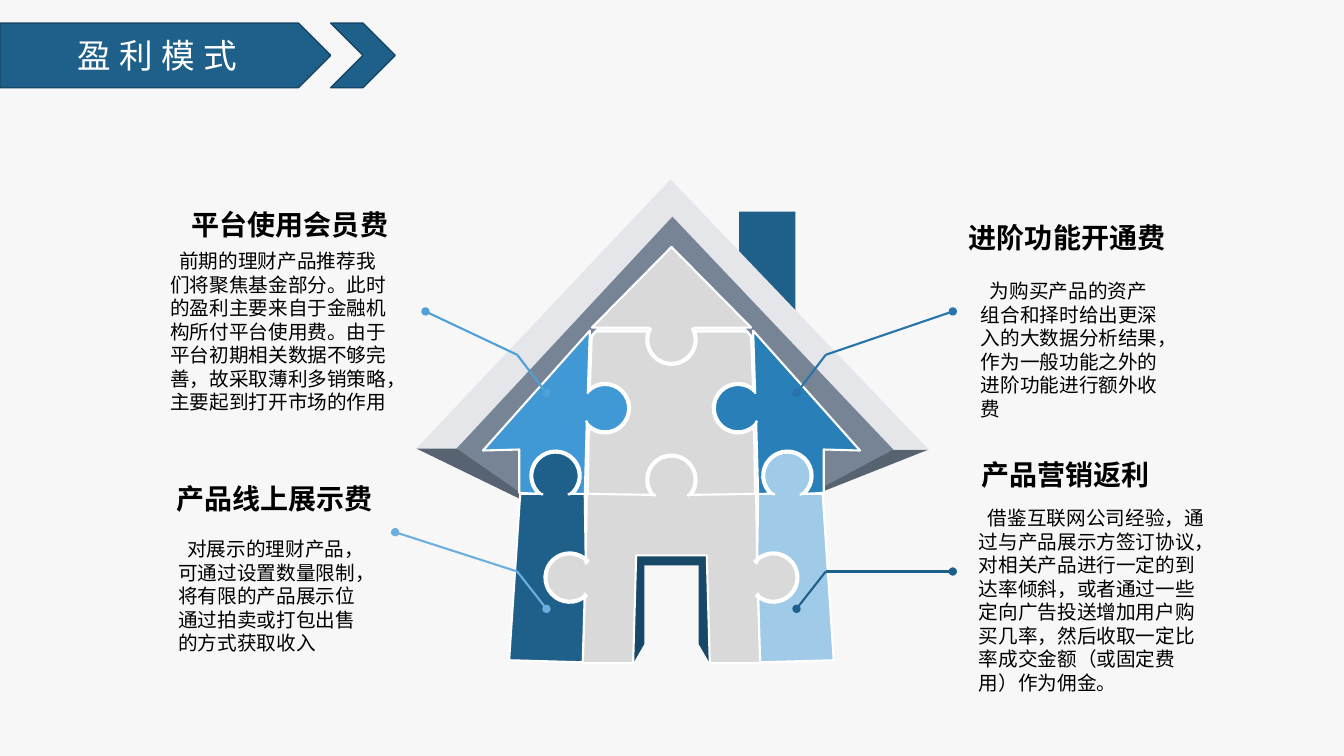
"""Build the profit model slide: a puzzle house with four annotated income sources."""
from dataclasses import dataclass
from math import atan2, cos, pi, sin
from typing import NamedTuple

from lxml import etree
from pptx import Presentation
from pptx.dml.color import RGBColor
from pptx.enum.shapes import MSO_CONNECTOR, MSO_SHAPE
from pptx.enum.text import MSO_ANCHOR, PP_ALIGN
from pptx.oxml.ns import qn
from pptx.shapes.autoshape import Shape
from pptx.slide import Slide
from pptx.text.text import TextFrame
from pptx.util import Emu, Pt

PX = 9144
FONT = "Noto Sans CJK SC"
BANNER, CHEVRON, RECT = MSO_SHAPE.PENTAGON, MSO_SHAPE.CHEVRON, MSO_SHAPE.RECTANGLE
STRAIGHT = MSO_CONNECTOR.STRAIGHT
TOP, MIDDLE = MSO_ANCHOR.TOP, MSO_ANCHOR.MIDDLE
LEFT, CENTER, RIGHT = PP_ALIGN.LEFT, PP_ALIGN.CENTER, PP_ALIGN.RIGHT

PAPER = RGBColor.from_string("F7F7F7")
WHITE = RGBColor.from_string("FFFFFF")
BLACK = RGBColor.from_string("000000")
NAVY = RGBColor.from_string("1F608B")
NAVY_EDGE = RGBColor.from_string("174767")
DOOR = RGBColor.from_string("174868")
EAVES = RGBColor.from_string("586371")
ROOF_LIGHT = RGBColor.from_string("E4E6EA")
ROOF_DARK = RGBColor.from_string("778495")
GRAY = RGBColor.from_string("D9D9D9")
BLUE = RGBColor.from_string("2980B9")
SKY = RGBColor.from_string("4098D4")
PALE = RGBColor.from_string("9FCBE9")
BLUE_LEADER = RGBColor.from_string("2674A9")
SKY_LEADER = RGBColor.from_string("4FA0D7")
PALE_LEADER = RGBColor.from_string("6CAFDE")


class Point(NamedTuple):
    x: int
    y: int


class Joint(NamedTuple):
    """The round part of a puzzle joint, drawn the long way between its neighbours."""
    x: int
    y: int
    radius: int = 23

    def socket(self) -> "Joint":
        return self._replace(radius=self.radius + 2)


Outline = list[Point | Joint]
Box = tuple[int, int, int, int]


@dataclass(frozen=True)
class Piece:
    fill: RGBColor
    outline: Outline
    edge: RGBColor | None = None


@dataclass(frozen=True)
class Income:
    """One income source with its heading, description and leader line."""
    heading: str
    heading_box: Box
    heading_align: PP_ALIGN
    description: str
    description_box: Box
    leader: tuple[Point, Point, Point]
    color: RGBColor


def mirror(outline: Outline) -> Outline:
    """Reflect an outline across the middle of the house, in reverse order."""
    return [part._replace(x=2 * HOUSE_AXIS - part.x) for part in reversed(outline)]


def corners(*pairs: tuple[int, int]) -> Outline:
    return [Point(*pair) for pair in pairs]


HOUSE_AXIS = 666
ATTIC, HALL = Joint(666, 337), Joint(666, 476)
WALL, FLOOR, SIDE = Joint(600, 405), Joint(551, 472), Joint(565, 573)

wing = [*corners((585, 328), (479, 447), (515, 446), (515, 489), (534, 490)), FLOOR.socket(),
        *corners((565, 489), (580, 491), (582, 418)), WALL, Point(583, 390)]
leg = [*corners((505, 655), (516, 490), (538, 490)), FLOOR,
       *corners((564, 490), (580, 490), (581, 559)), SIDE.socket(),
       *corners((580, 589), (578, 657))]
room = [*corners((643, 329), (591, 329), (587, 334), (585, 387)), WALL.socket(),
        *corners((584, 428), (583, 492), (644, 493))]
front = [*corners((650, 491), (582, 490), (581, 559)), SIDE,
         *corners((580, 589), (578, 658), (628, 658), (631, 551))]
gable = corners((666, 245), (587, 325), (643, 325))
jamb = corners((628, 658), (639, 639), (639, 548), (628, 546))

BACKDROP = [
    Piece(EAVES, corners((413, 445), (520, 497), (520, 483), (455, 438))),
    Piece(EAVES, corners((883, 446), (921, 446), (815, 488), (816, 476))),
    Piece(ROOF_LIGHT, corners((883, 446), (921, 446), (665, 178), (413, 445), (453, 445),
                              (667, 218))),
    Piece(ROOF_DARK, corners((515, 488), (453, 445), (667, 215), (886, 446), (813, 485),
                             (815, 445), (851, 446), (666, 246), (481, 445), (516, 446))),
    Piece(DOOR, jamb),
    Piece(DOOR, mirror(jamb)),
]
PUZZLE = [
    Piece(BLUE, mirror(wing), WHITE),
    Piece(SKY, wing, WHITE),
    Piece(GRAY, [*room, HALL.socket(), *mirror(room), ATTIC.socket()], WHITE),
    Piece(GRAY, [*front, *mirror(front), HALL], WHITE),
    Piece(PALE, mirror(leg), WHITE),
    Piece(NAVY, leg, WHITE),
    Piece(GRAY, [*gable, ATTIC, *mirror(gable)[:-1]], WHITE),
]
INCOMES = [
    Income("平台使用会员费", (158, 201, 227, 44), RIGHT,
           "前期的理财产品推荐我们将聚焦基金部分。此时的盈利主要来自于金融机构所付平台使用费。"
           "由于平台初期相关数据不够完善，故采取薄利多销策略，主要起到打开市场的作用",
           (159, 242, 240, 175), ((542, 390), (513, 352), (422, 309)), SKY_LEADER),
    Income("进阶功能开通费", (961, 215, 206, 40), LEFT,
           "为购买产品的资产组合和择时给出更深入的大数据分析结果，"
           "作为一般功能之外的进阶功能进行额外收费",
           (963, 272, 197, 151), ((790, 390), (819, 352), (945, 309)), BLUE_LEADER),
    Income("产品线上展示费", (143, 472, 227, 44), RIGHT,
           "对展示的理财产品，可通过设置数量限制，将有限的产品展示位通过拍卖或打包出售的方式获取收入",
           (167, 528, 210, 128), ((542, 604), (513, 567), (392, 528)), PALE_LEADER),
    Income("产品营销返利", (973, 451, 178, 40), LEFT,
           "借鉴互联网公司经验，通过与产品展示方签订协议，对相关产品进行一定的到达率倾斜，"
           "或者通过一些定向广告投送增加用户购买几率，然后收取一定比率成交金额（或固定费用）作为佣金。",
           (961, 497, 248, 199), ((790, 604), (819, 567), (945, 567)), NAVY),
]


def emu(*lengths: int) -> list[Emu]:
    return [Emu(length * PX) for length in lengths]


def paint(shape: Shape, fill: RGBColor, edge: RGBColor | None = None, width: float = 1.5) -> None:
    shape.shadow.inherit = False
    shape.fill.solid()
    shape.fill.fore_color.rgb = fill
    if edge is None:
        shape.line.fill.background()
    else:
        shape.line.color.rgb = edge
        shape.line.width = Pt(width)


def arc(before: Point, joint: Joint, after: Point, steps: int = 24) -> list[tuple[float, float]]:
    start, end = (atan2(p.y - joint.y, p.x - joint.x) for p in (before, after))
    sweep = (end - start) % (2 * pi)
    if sweep < pi:
        sweep -= 2 * pi
    angles = [start + sweep * i / steps for i in range(steps + 1)]
    return [(joint.x + joint.radius * cos(a), joint.y + joint.radius * sin(a)) for a in angles]


def draw_piece(slide: Slide, piece: Piece) -> None:
    points = []
    for i, part in enumerate(piece.outline):
        if isinstance(part, Joint):
            after = piece.outline[(i + 1) % len(piece.outline)]
            points += arc(piece.outline[i - 1], part, after)
        else:
            points.append(part)
    start, *rest = [(x * PX, y * PX) for x, y in points]
    builder = slide.shapes.build_freeform(*start)
    builder.add_line_segments(rest, close=True)
    paint(builder.convert_to_shape(), piece.fill, piece.edge)


def draw_leader(slide: Slide, income: Income) -> None:
    anchor, elbow, end = income.leader
    for begin, finish, dot in ((anchor, elbow, "a:headEnd"), (elbow, end, "a:tailEnd")):
        segment = slide.shapes.add_connector(STRAIGHT, *emu(*begin, *finish))
        segment.line.color.rgb = income.color
        segment.line.width = Pt(1.5)
        properties = segment._element.spPr
        etree.SubElement(properties.find(qn("a:ln")), qn(dot), type="oval")
        etree.SubElement(properties, qn("a:effectLst"))


def write(frame: TextFrame, text: str, size: int, color: RGBColor, align: PP_ALIGN,
          anchor: MSO_ANCHOR, inset: tuple[int, int] = (0, 0), bold: bool = False,
          indent: int = 0, spacing: int = 0, leading: float | None = None) -> None:
    frame.word_wrap = True
    frame.vertical_anchor = anchor
    frame.margin_left = frame.margin_right = Emu(inset[0] * PX)
    frame.margin_top = frame.margin_bottom = Emu(inset[1] * PX)
    frame.text = text
    paragraph = frame.paragraphs[0]
    paragraph.alignment = align
    if leading:
        paragraph.line_spacing = Pt(leading)
    font = paragraph.font
    font.name, font.size, font.bold = FONT, Pt(size), bold
    font.color.rgb = color
    properties = paragraph._p.get_or_add_pPr()
    properties.set("indent", str(indent * PX))
    defaults = properties.find(qn("a:defRPr"))
    defaults.set("spc", str(spacing * 100))
    etree.SubElement(defaults, qn("a:ea"), typeface=FONT)


def main() -> None:
    deck = Presentation()
    deck.slide_width, deck.slide_height = emu(1333, 750)
    slide = deck.slides.add_slide(deck.slide_layouts[5])
    slide.background.fill.solid()
    slide.background.fill.fore_color.rgb = PAPER
    shapes = slide.shapes

    for kind, box in ((BANNER, (0, 23, 328, 64)), (CHEVRON, (328, 23, 64, 64))):
        paint(shapes.add_shape(kind, *emu(*box)), NAVY, NAVY_EDGE, 1)
    title = shapes.title
    title.left, title.top, title.width, title.height = emu(0, 23, 312, 64)
    write(title.text_frame, "盈利模式", 24, WHITE, CENTER, MIDDLE, spacing=6)
    title.element.getparent().append(title.element)

    paint(shapes.add_shape(RECT, *emu(733, 210, 56, 104)), NAVY)
    for piece in BACKDROP:
        draw_piece(slide, piece)
    paint(shapes.add_shape(RECT, *emu(630, 548, 73, 13)), DOOR)
    for piece in PUZZLE:
        draw_piece(slide, piece)

    for income in INCOMES:
        draw_leader(slide, income)
        heading = shapes.add_textbox(*emu(*income.heading_box))
        write(heading.text_frame, income.heading, 20, BLACK, income.heading_align, MIDDLE,
              bold=True)
        description = shapes.add_textbox(*emu(*income.description_box))
        write(description.text_frame, income.description, 14, BLACK, LEFT, TOP,
              inset=(10, 5), indent=9, leading=16.8)
    deck.save("out.pptx")


if __name__ == "__main__":
    main()
